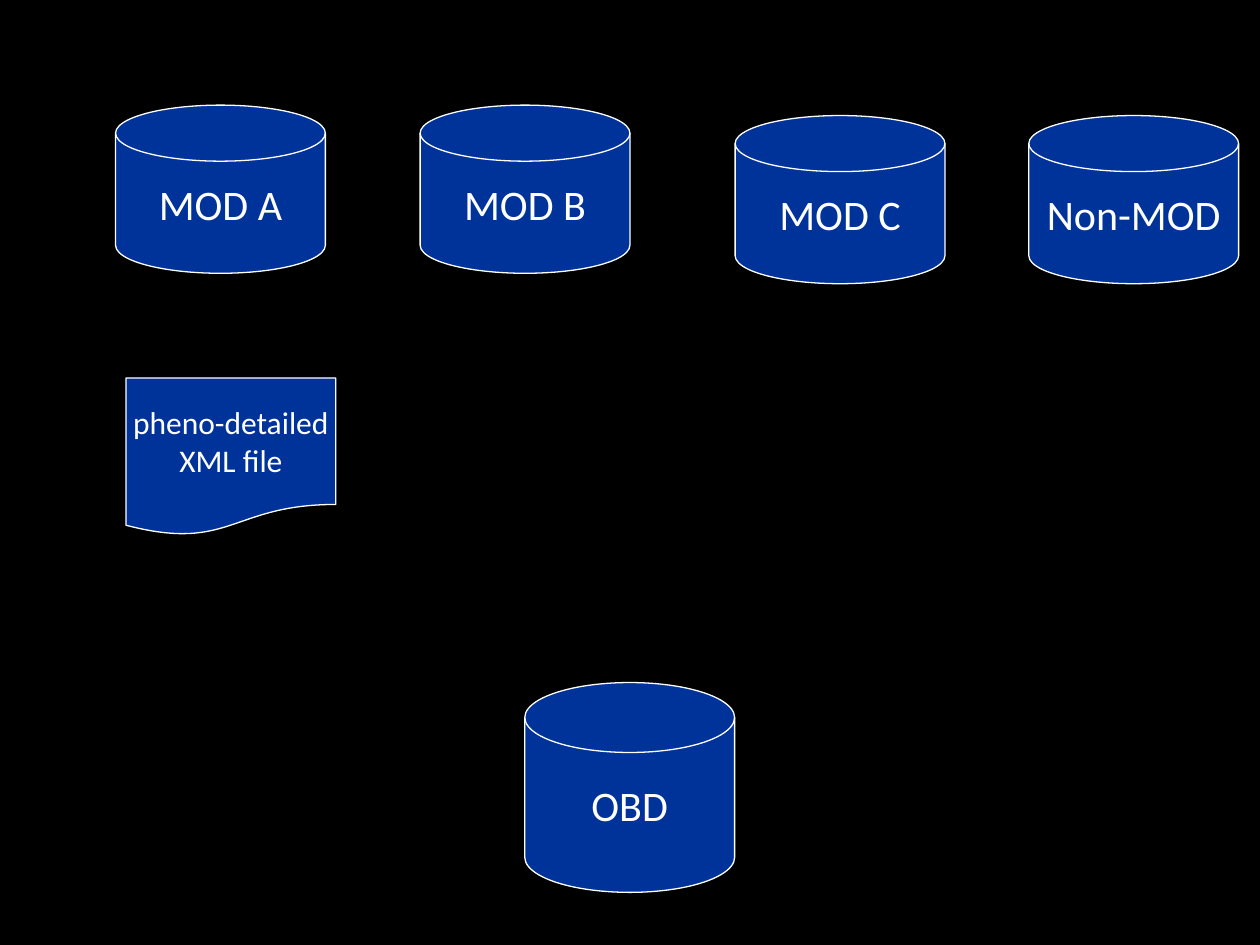
import dataclasses

import pptx
import pptx.dml.color
import pptx.enum.shapes
import pptx.enum.text
import pptx.util

Cm = pptx.util.Cm
Kind = pptx.enum.shapes.MSO_SHAPE


@dataclasses.dataclass(frozen=True)
class Theme:
    background: str = "000000"
    fill: str = "003399"
    ink: str = "FFFFFF"
    font: str = "Calibri"
    store_size: int = 24
    file_size: int = 18
    outline: float = 0.75


class Diagram:
    def __init__(self, theme, slide):
        self.theme = theme
        self.slide = slide
        self.paint(slide.background.fill, theme.background)

    def paint(self, fill, colour):
        fill.solid()
        fill.fore_color.rgb = pptx.dml.color.RGBColor.from_string(colour)

    def node(self, kind, lines, size, left, top, width, height):
        node = self.slide.shapes.add_shape(
            kind, Cm(left), Cm(top), Cm(width), Cm(height))
        node.shadow.inherit = False
        self.paint(node.fill, self.theme.fill)
        self.paint(node.line.fill, self.theme.ink)
        node.line.width = pptx.util.Pt(self.theme.outline)
        frame = node.text_frame
        frame.word_wrap = False
        frame.vertical_anchor = pptx.enum.text.MSO_ANCHOR.MIDDLE
        frame.text = "\n".join(lines)
        for paragraph in frame.paragraphs:
            paragraph.alignment = pptx.enum.text.PP_ALIGN.CENTER
            paragraph.font.name = self.theme.font
            paragraph.font.size = pptx.util.Pt(size)
            self.paint(paragraph.font.fill, self.theme.ink)

    def database(self, name, left, top, height):
        self.node(Kind.FLOWCHART_MAGNETIC_DISK, [name], self.theme.store_size,
                  left, top, NODE_WIDTH, height)

    def document(self, lines, left, top, height):
        self.node(Kind.FLOWCHART_DOCUMENT, lines, self.theme.file_size,
                  left, top, NODE_WIDTH, height)


NODE_WIDTH = 4.23
SOURCE_HEIGHT = 3.39
SOURCES = [
    ("MOD A", 2.33, 2.12),
    ("MOD B", 8.47, 2.12),
    ("MOD C", 14.82, 2.33),
    ("Non-MOD", 20.74, 2.33),
]


def main():
    deck = pptx.Presentation()
    deck.slide_width = Cm(25.4)
    deck.slide_height = Cm(19.05)
    diagram = Diagram(Theme(), deck.slides.add_slide(deck.slide_layouts[6]))

    diagram.database("OBD", 10.58, 13.76, NODE_WIDTH)
    for name, left, top in SOURCES:
        diagram.database(name, left, top, SOURCE_HEIGHT)
    diagram.document(["pheno-detailed", "XML file"], 2.54, 7.62, 3.18)

    deck.save("out.pptx")


if __name__ == "__main__":
    main()
